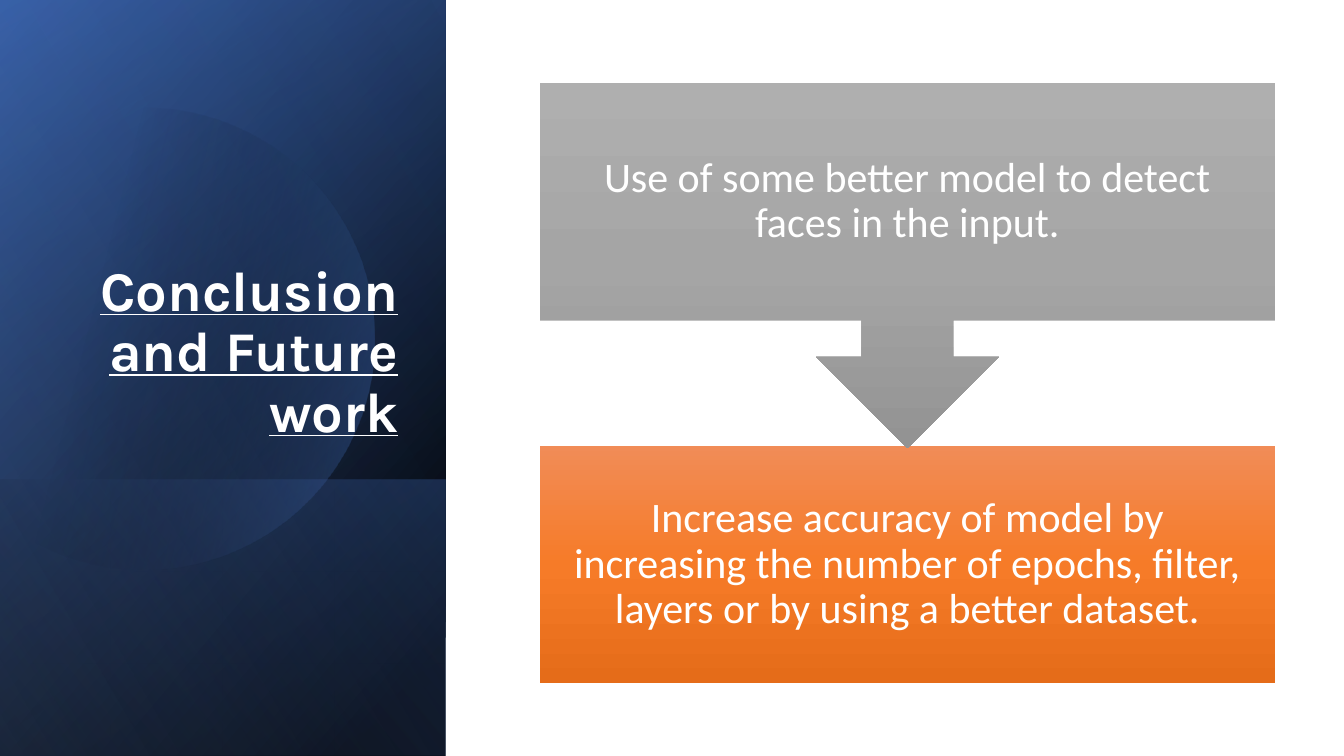
"""Build the conclusion slide: a dark title panel beside two linked steps."""
from math import acos, cos, pi, sin

from lxml.etree import SubElement
from pptx import Presentation
from pptx.dml.color import RGBColor
from pptx.enum.shapes import MSO_SHAPE
from pptx.enum.text import MSO_ANCHOR, MSO_AUTO_SIZE, PP_ALIGN
from pptx.oxml.ns import qn
from pptx.util import Cm, Pt

PAGE_WIDTH, PAGE_HEIGHT = 33.87, 19.05
PANEL_WIDTH = 11.23
STEP_LEFT, STEP_WIDTH, STEP_HEIGHT = 13.61, 18.52, 5.99


def color(hex_text):
    """Turn a hex string into a colour."""
    return RGBColor.from_string(hex_text)


def write(frame, text, font, size, align, bold=False, underline=False):
    """Put one formatted paragraph into a text frame."""
    frame.word_wrap = True
    frame.auto_size = MSO_AUTO_SIZE.NONE
    para = frame.paragraphs[0]
    para.alignment = align
    para.line_spacing = 0.9
    span = para.add_run()
    span.text = text
    span.font.name = font
    span.font.size = Pt(size)
    span.font.bold = bold
    span.font.underline = underline
    span.font.color.rgb = color("FFFFFF")


class SlideBuilder:
    """Hold the current slide and its style, and add elements to it."""

    title_font = "Karla"
    step_font = "Calibri"

    def __init__(self, page):
        """Keep the slide to draw on."""
        self.page = page

    def paint(self, box, stops, angle):
        """Fill a shape with a linear gradient of (position, colour, opacity) stops."""
        box.shadow.inherit = False
        box.line.fill.background()
        box.fill.gradient()
        gradient = box.element.spPr.find(qn("a:gradFill"))
        stop_list = gradient.find(qn("a:gsLst"))
        for old_stop in list(stop_list):
            stop_list.remove(old_stop)
        for position, hex_text, opacity in stops:
            stop = SubElement(stop_list, qn("a:gs"), pos=str(position * 1000))
            shade = SubElement(stop, qn("a:srgbClr"), val=hex_text)
            if opacity < 100:
                SubElement(shade, qn("a:alpha"), val=str(opacity * 1000))
        direction = gradient.find(qn("a:lin"))
        direction.set("ang", str(angle * 60000))
        direction.set("scaled", "0")

    def panel(self, top, stops, angle):
        """Add a gradient layer from the given top to the foot of the title panel."""
        box = self.page.shapes.add_shape(
            MSO_SHAPE.RECTANGLE, 0, Cm(top), Cm(PANEL_WIDTH), Cm(PAGE_HEIGHT - top))
        self.paint(box, stops, angle)

    def disc(self, center_x, center_y, radius, stops, angle):
        """Add a disc cut off by the left edge of the slide."""
        reach = acos(-center_x / radius)
        steps = 120
        angles = [reach * (2 * step / steps - 1) for step in range(steps + 1)]
        points = [(Cm(center_x + radius * cos(turn)), Cm(center_y + radius * sin(turn)))
                  for turn in angles]
        outline = self.page.shapes.build_freeform(*points[0])
        outline.add_line_segments(points[1:], close=True)
        self.paint(outline.convert_to_shape(), stops, angle)

    def title(self, text, left, top, width, height):
        """Place the title placeholder above the panel layers."""
        box = self.page.shapes.title
        box.left, box.top, box.width, box.height = map(Cm, (left, top, width, height))
        box.text_frame.vertical_anchor = MSO_ANCHOR.BOTTOM
        write(box.text_frame, text, self.title_font, 40, PP_ALIGN.RIGHT,
              bold=True, underline=True)
        self.page.shapes.element.append(box.element)

    def step(self, kind, text, top, height, shades):
        """Add a step with centred text and return its shape."""
        box = self.page.shapes.add_shape(
            kind, Cm(STEP_LEFT), Cm(top), Cm(STEP_WIDTH), Cm(height))
        self.paint(box, [(50 * place, shade, 100) for place, shade in enumerate(shades)], 90)
        frame = box.text_frame
        frame.margin_left = frame.margin_right = Cm(0.58)
        frame.margin_top = frame.margin_bottom = Cm(0.58)
        frame.vertical_anchor = MSO_ANCHOR.MIDDLE
        write(frame, text, self.step_font, 30, PP_ALIGN.CENTER)
        return box


def main():
    """Create the deck and save it."""
    deck = Presentation()
    deck.slide_width, deck.slide_height = Cm(PAGE_WIDTH), Cm(PAGE_HEIGHT)
    builder = SlideBuilder(deck.slides.add_slide(deck.slide_layouts[5]))

    builder.panel(0, [(8, "000000", 100), (100, "2F5597", 100)], 220)
    builder.panel(0, [(0, "000000", 0), (99, "4472C4", 46)], 240)
    builder.panel(12.09, [(2, "4472C4", 29), (100, "000000", 30)], 140)
    builder.disc(3.63, 8.53, 5.82, [(29, "000000", 0), (100, "4472C4", 43)], 14)
    builder.panel(0, [(0, "000000", 0), (99, "8FAADC", 11)], 150)
    builder.title("Conclusion and Future work", 1.63, 4.67, 8.66, 6.65)

    builder.step(
        MSO_SHAPE.RECTANGLE,
        "Increase accuracy of model by increasing the number of epochs, filter, "
        "layers or by using a better dataset.",
        11.23, STEP_HEIGHT, ("F18C57", "F67B28", "E56C19"))
    callout_height = 9.22
    callout = builder.step(
        MSO_SHAPE.DOWN_ARROW_CALLOUT,
        "Use of some better model to detect faces in the input.",
        2.08, callout_height, ("AFAFAF", "A5A5A5", "939393"))
    for index, share in enumerate((0.25, 0.25, 0.25, STEP_HEIGHT / callout_height)):
        callout.adjustments[index] = share

    deck.save("out.pptx")


if __name__ == "__main__":
    main()
